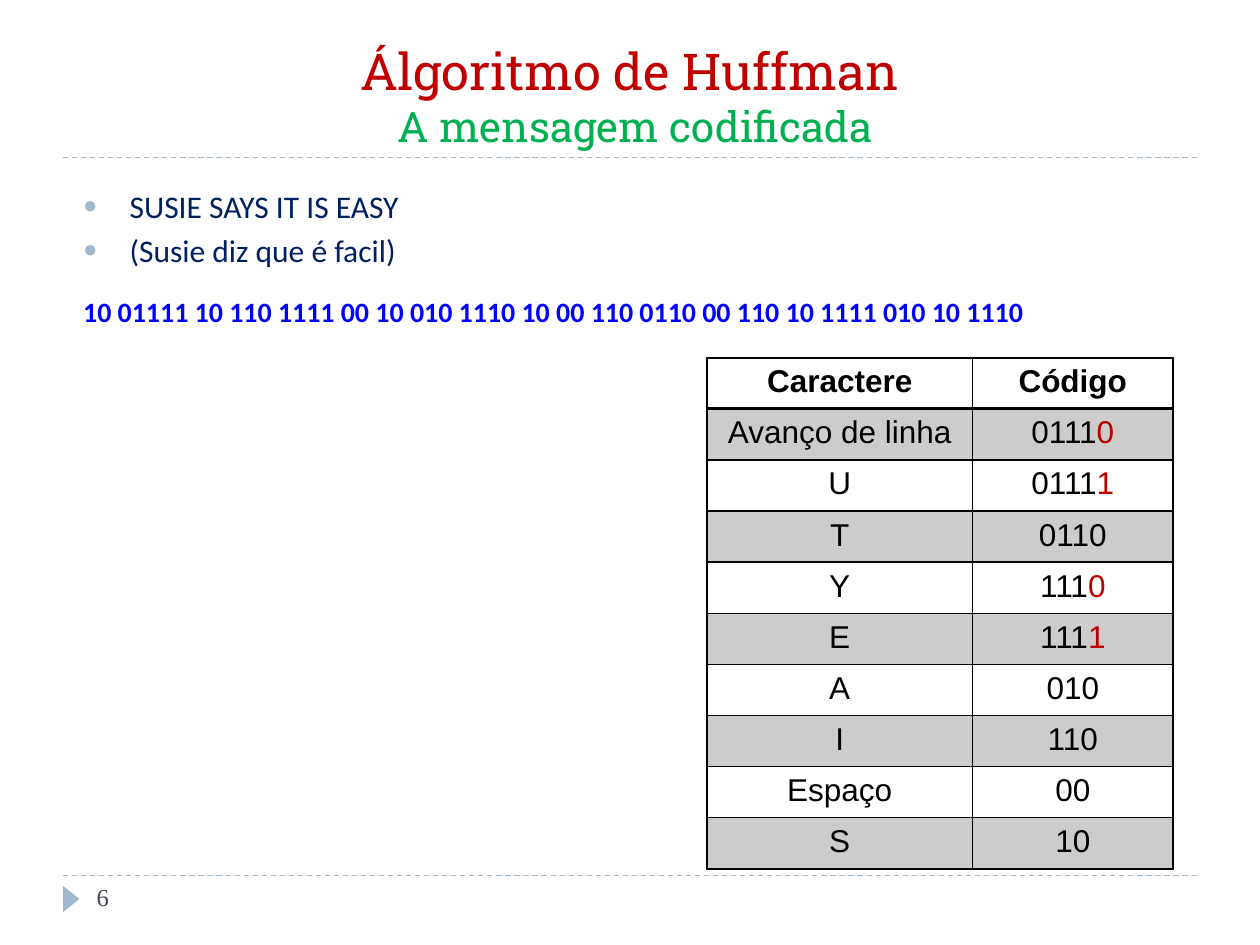
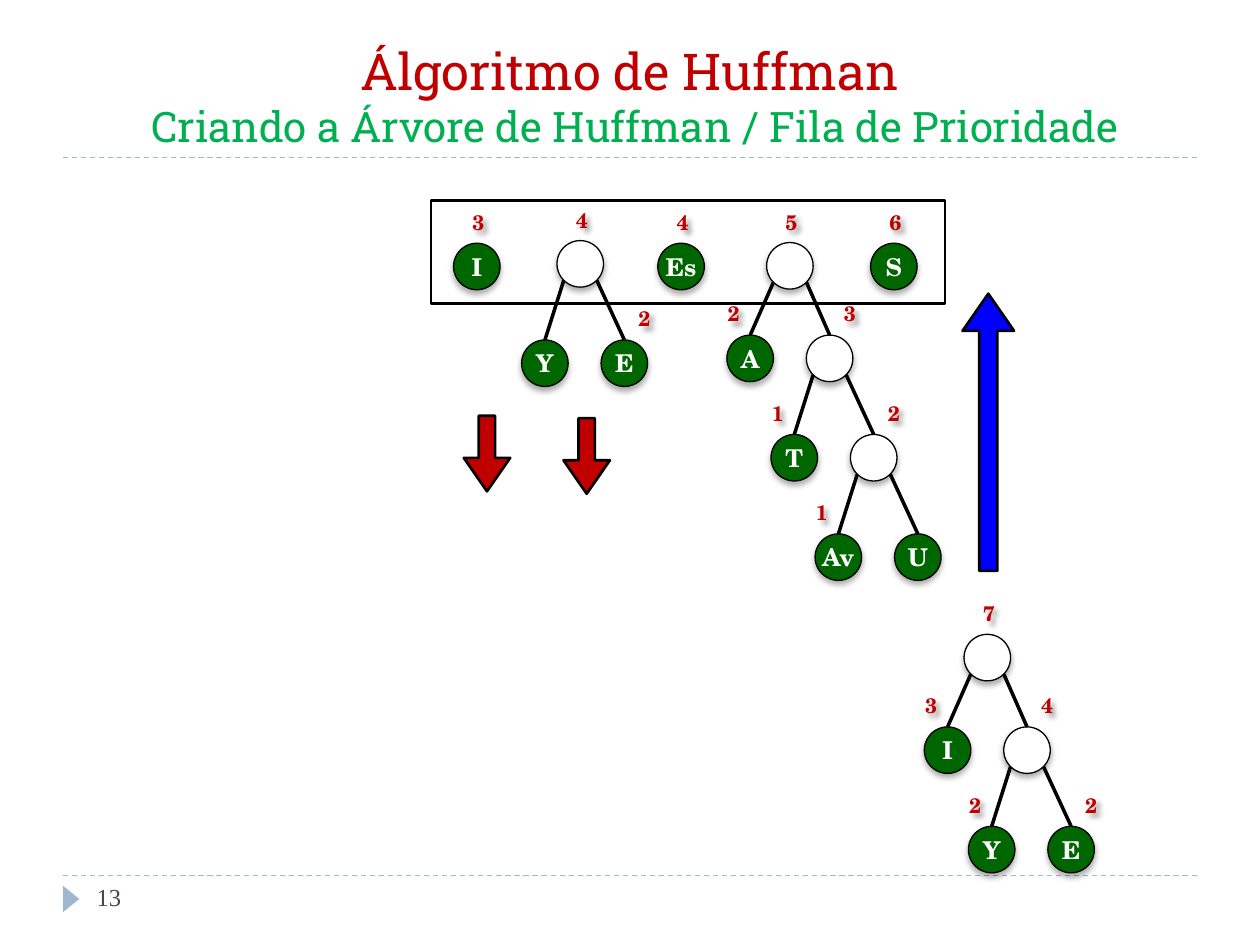
"""Builds two slides on Huffman coding: the encoded message and the priority queue of trees."""
from dataclasses import dataclass
from typing import NamedTuple, Optional

from lxml import etree
from pptx import Presentation
from pptx import util as u
from pptx.dml.color import RGBColor
from pptx.enum import dml, shapes, text
from pptx.oxml import ns

COLORS = {
    "black": "000000", "white": "FFFFFF", "red": "C00000", "green": "00B050",
    "leaf": "006600", "blue": "0000FF", "navy": "002060", "accent": "9FB8CD",
    "number": "464653", "band": "CCCCCC",
}
TREE_FONT = "TeX Gyre Schola"
RADIUS = 13.3
CORNER = RADIUS * 0.71


class Box(NamedTuple):
    left: float
    top: float
    width: float
    height: float

    def lengths(self) -> list:
        return [u.Pt(value) for value in self]


class Step(NamedTuple):
    left: float
    right: float
    drop: float


class Shadow(NamedTuple):
    blur: float
    distance: float
    degrees: int
    opacity: int


STEEP = Step(-20.2, 25.2, 56.8)
EVEN = Step(-22.7, 22.7, 52.9)
NODE_SHADOW = Shadow(3.5, 2.2, 90, 32)
WEIGHT_SHADOW = Shadow(3, 3, 45, 40)
ROOT_WEIGHT, LEFT_WEIGHT, RIGHT_WEIGHT = (0.9, -25.2), (-9.4, -25.6), (11.5, -25.6)


@dataclass
class Node:
    weight: str
    label: str = ""
    left: Optional["Node"] = None
    right: Optional["Node"] = None
    step: Step = STEEP


@dataclass
class Root:
    x: float
    y: float
    node: Node


@dataclass
class CodeRow:
    character: str
    prefix: str
    last_bit: str = ""


@dataclass
class Arrow:
    box: Box
    color: str
    rotation: int = 0


@dataclass
class MessageLine:
    words: str
    size: float
    color: str
    space_before: float
    bulleted: bool


MESSAGE = [
    MessageLine("SUSIE SAYS IT IS EASY", 18, "navy", 0, True),
    MessageLine("(Susie diz que é facil)", 18, "navy", 3.6, True),
    MessageLine("10 01111 10 110 1111 00 10 010 1110 10 00 110 0110 00 110 10 1111 010 10 1110",
                16, "blue", 15, False),
]
CODES = [
    CodeRow("Avanço de linha", "0111", "0"), CodeRow("U", "0111", "1"), CodeRow("T", "0110"),
    CodeRow("Y", "111", "0"), CodeRow("E", "111", "1"), CodeRow("A", "010"),
    CodeRow("I", "110"), CodeRow("Espaço", "00"), CodeRow("S", "10"),
]
LINE_FEED_TREE = Node("2", left=Node("1", "Av"), right=Node("", "U"))
T_TREE = Node("3", left=Node("1", "T"), right=LINE_FEED_TREE)
Y_E_TREE = Node("4", left=Node("2", "Y"), right=Node("2", "E"))
FOREST = [
    Root(272.5, 152.3, Node("3", "I")),
    Root(331.6, 150.8, Node("4", left=Node("", "Y"), right=Node("2", "E"))),
    Root(389.2, 152.3, Node("4", "Es")),
    Root(451.4, 151.9, Node("5", left=Node("2", "A"), right=T_TREE, step=EVEN)),
    Root(510.8, 152.3, Node("6", "S")),
    Root(564.2, 375.8, Node("7", left=Node("3", "I"), right=Y_E_TREE, step=EVEN)),
]
ARROWS = [
    Arrow(Box(265, 237.6, 26.6, 43.2), "red"),
    Arrow(Box(322, 239, 26.6, 43.2), "red"),
    Arrow(Box(550, 167.8, 29.5, 158.4), "blue", 180),
]


def rgb(name: str) -> RGBColor:
    """Looks up a named colour."""
    return RGBColor.from_string(COLORS[name])


def format_run(run, font: str, size: float, color: str, bold: bool = False) -> None:
    """Sets the font of one run."""
    run.font.name, run.font.size, run.font.bold = font, u.Pt(size), bold
    run.font.color.rgb = rgb(color)


def set_outline(line, color: str, width: float) -> None:
    """Gives a line its colour and width."""
    line.color.rgb = rgb(color)
    line.width = u.Pt(width)


def add_child(parent, tag: str, **attributes: object):
    """Appends an XML child with the given attributes."""
    values = {key: str(value) for key, value in attributes.items()}
    return etree.SubElement(parent, ns.qn(tag), values)


def cast_shadow(shape, shadow: Shadow) -> None:
    """Gives a shape a soft black shadow."""
    shape.shadow.inherit = False
    effects = shape.element.spPr.find(ns.qn("a:effectLst"))
    outer = add_child(effects, "a:outerShdw", blurRad=u.Pt(shadow.blur), dist=u.Pt(shadow.distance),
                      dir=shadow.degrees * 60000, algn="ctr", rotWithShape=0)
    color = add_child(outer, "a:srgbClr", val=COLORS["black"])
    add_child(color, "a:alpha", val=shadow.opacity * 1000)


def draw_shape(container, kind, box: Box, fill: Optional[str], outline: Optional[str] = "black",
               width: float = 1.5):
    """Draws a preset shape without a shadow."""
    shape = container.add_shape(kind, *box.lengths())
    shape.shadow.inherit = False
    if fill:
        shape.fill.solid()
        shape.fill.fore_color.rgb = rgb(fill)
    else:
        shape.fill.background()
    if outline:
        set_outline(shape.line, outline, width)
    else:
        shape.line.fill.background()
    return shape


def draw_line(container, start: tuple, end: tuple, color: str, width: float):
    """Draws a straight connector without a shadow."""
    points = [u.Pt(value) for value in (*start, *end)]
    connector = container.add_connector(shapes.MSO_CONNECTOR.STRAIGHT, *points)
    set_outline(connector.line, color, width)
    add_child(connector.element.spPr, "a:effectLst")
    return connector


def draw_weight(container, x: float, y: float, weight: str) -> None:
    """Writes a weight centred on a point."""
    box = container.add_textbox(*Box(x - 14.8, y - 10.8, 29.6, 21.6).lengths())
    frame = box.text_frame
    frame.text, frame.word_wrap = weight, True
    frame.vertical_anchor = text.MSO_ANCHOR.MIDDLE
    frame.paragraphs[0].alignment = text.PP_ALIGN.CENTER
    format_run(frame.paragraphs[0].runs[0], TREE_FONT, 12, "red", True)
    cast_shadow(box, WEIGHT_SHADOW)


def draw_node(container, node: Node, x: float, y: float, weight_offset: tuple = ROOT_WEIGHT):
    """Draws a node, its weight and, below it, its subtrees."""
    box = Box(x - RADIUS, y - RADIUS, 2 * RADIUS, 2 * RADIUS)
    circle = draw_shape(container, shapes.MSO_SHAPE.OVAL, box,
                        "leaf" if node.label else "white", width=0.75)
    cast_shadow(circle, NODE_SHADOW)
    if node.label:
        frame = circle.text_frame
        frame.text, frame.word_wrap = node.label, False
        frame.margin_left = frame.margin_right = frame.margin_top = frame.margin_bottom = 0
        frame.vertical_anchor = text.MSO_ANCHOR.MIDDLE
        frame.paragraphs[0].alignment = text.PP_ALIGN.CENTER
        format_run(frame.paragraphs[0].runs[0], TREE_FONT, 14, "white", True)
    if node.weight:
        draw_weight(container, x + weight_offset[0], y + weight_offset[1], node.weight)
    branches = [(node.left, node.step.left, -CORNER, LEFT_WEIGHT),
                (node.right, node.step.right, CORNER, RIGHT_WEIGHT)]
    for child, shift, corner, offset in branches:
        if child:
            child_x, child_y = x + shift, y + node.step.drop
            child_circle = draw_node(container, child, child_x, child_y, offset)
            edge = draw_line(container, (child_x, child_y - RADIUS), (x + corner, y + CORNER),
                             "black", 2)
            edge.begin_connect(child_circle, 0)
    return circle


def add_titled_slide(presentation, layout: int, subtitle: str, number: str):
    """Adds a slide with the two-line title and its page number."""
    slide = presentation.slides.add_slide(presentation.slide_layouts[layout])
    title = slide.shapes.title
    title.left, title.top, title.width, title.height = Box(36, 18, 648, 72).lengths()
    frame = title.text_frame
    frame.text = f"Álgoritmo de Huffman\v {subtitle}"
    frame.auto_size = text.MSO_AUTO_SIZE.NONE
    frame.vertical_anchor = text.MSO_ANCHOR.BOTTOM
    paragraph = frame.paragraphs[0]
    paragraph.alignment = text.PP_ALIGN.CENTER
    for run, size, color in zip(paragraph.runs, (29, 24), ("red", "green")):
        format_run(run, "Roboto Slab", size, color)
    line_break = frame._txBody.find(".//" + ns.qn("a:br"))
    properties = add_child(line_break, "a:rPr", sz=2900)
    add_child(properties, "a:latin", typeface="Roboto Slab")
    page = slide.shapes.add_textbox(*Box(48.2, 500.4, 156.2, 28.8).lengths()).text_frame
    page.text, page.word_wrap = number, True
    format_run(page.paragraphs[0].runs[0], "Times New Roman", 14, "number")
    return slide


def fill_message(body) -> None:
    """Writes the message and its code in the body placeholder."""
    body.left, body.top, body.width, body.height = Box(40.3, 103, 643.7, 90).lengths()
    frame = body.text_frame
    frame.text = "\n".join(line.words for line in MESSAGE)
    frame.auto_size = text.MSO_AUTO_SIZE.NONE
    for paragraph, line in zip(frame.paragraphs, MESSAGE):
        paragraph.alignment = text.PP_ALIGN.JUSTIFY
        paragraph.space_before = u.Pt(line.space_before)
        format_run(paragraph.runs[0], "Calibri", line.size, line.color, not line.bulleted)
        properties = paragraph._p.get_or_add_pPr()
        properties.set("marL", str(u.Pt(26.6)))
        properties.set("indent", str(u.Pt(-26.6)))
        if line.bulleted:
            add_child(add_child(properties, "a:buClr"), "a:srgbClr", val=COLORS["accent"])
            add_child(properties, "a:buSzPct", val=76000)
            add_child(properties, "a:buChar", char="●")
        else:
            add_child(properties, "a:buNone")


def format_cell(cell, row: int) -> None:
    """Sets the borders, fill and text style of a table cell."""
    properties = cell._tc.get_or_add_tcPr()
    widths = {"a:lnL": 1, "a:lnR": 1, "a:lnT": 2 if row == 1 else 1, "a:lnB": 2 if row == 0 else 1}
    for tag, width in widths.items():
        border = add_child(properties, tag, w=u.Pt(width))
        add_child(add_child(border, "a:solidFill"), "a:srgbClr", val=COLORS["black"])
    cell.fill.solid()
    cell.fill.fore_color.rgb = rgb("band" if row % 2 else "white")
    paragraph = cell.text_frame.paragraphs[0]
    paragraph.alignment = text.PP_ALIGN.CENTER
    for index, run in enumerate(paragraph.runs):
        format_run(run, "Arial", 18, "red" if index else "black", row == 0)


def draw_code_table(slide) -> None:
    """Draws the table of characters and codes."""
    rows = [CodeRow("Caractere", "Código"), *CODES]
    box = Box(403.9, 204.5, 266.4, 29.2 * len(rows))
    table = slide.shapes.add_table(len(rows), 2, *box.lengths()).table
    table.columns[0].width, table.columns[1].width = u.Pt(151.9), u.Pt(114.5)
    for index, row in enumerate(rows):
        character, code = table.cell(index, 0), table.cell(index, 1)
        character.text, code.text = row.character, row.prefix
        if row.last_bit:
            code.text_frame.paragraphs[0].add_run().text = row.last_bit
        for cell in (character, code):
            format_cell(cell, index)


def move_frame_to_master(presentation, slide) -> None:
    """Draws the dashed rules and the page marker, and places them on the master."""
    rules = [draw_line(slide.shapes, (36, y), (684, y), "accent", 0.75) for y in (90, 500.4)]
    for rule in rules:
        rule.line.dash_style = dml.MSO_LINE.DASH
    marker = draw_shape(slide.shapes, shapes.MSO_SHAPE.ISOSCELES_TRIANGLE,
                        Box(33.1, 509, 15.1, 9.4), "accent", None)
    marker.rotation = 90
    for shape in (*rules, marker):
        presentation.slide_master.shapes.element.append(shape.element)


def main() -> None:
    """Builds and saves the presentation."""
    presentation = Presentation()
    presentation.slide_width, presentation.slide_height = u.Pt(720), u.Pt(540)

    message_slide = add_titled_slide(presentation, 1, "A mensagem codificada", "6")
    fill_message(message_slide.placeholders[1])
    draw_code_table(message_slide)

    queue_slide = add_titled_slide(presentation, 5, "Criando a Árvore de Huffman / Fila de Prioridade", "13")
    draw_shape(queue_slide.shapes, shapes.MSO_SHAPE.RECTANGLE, Box(246.2, 114.5, 293.8, 59), None)
    for root in FOREST:
        container = queue_slide.shapes if root.node.label else queue_slide.shapes.add_group_shape().shapes
        draw_node(container, root.node, root.x, root.y)
    for arrow in ARROWS:
        shape = draw_shape(queue_slide.shapes, shapes.MSO_SHAPE.DOWN_ARROW, arrow.box, arrow.color)
        shape.adjustments[0], shape.adjustments[1] = 0.35, 0.72
        shape.rotation = arrow.rotation
    move_frame_to_master(presentation, queue_slide)
    presentation.save("out.pptx")


if __name__ == "__main__":
    main()
